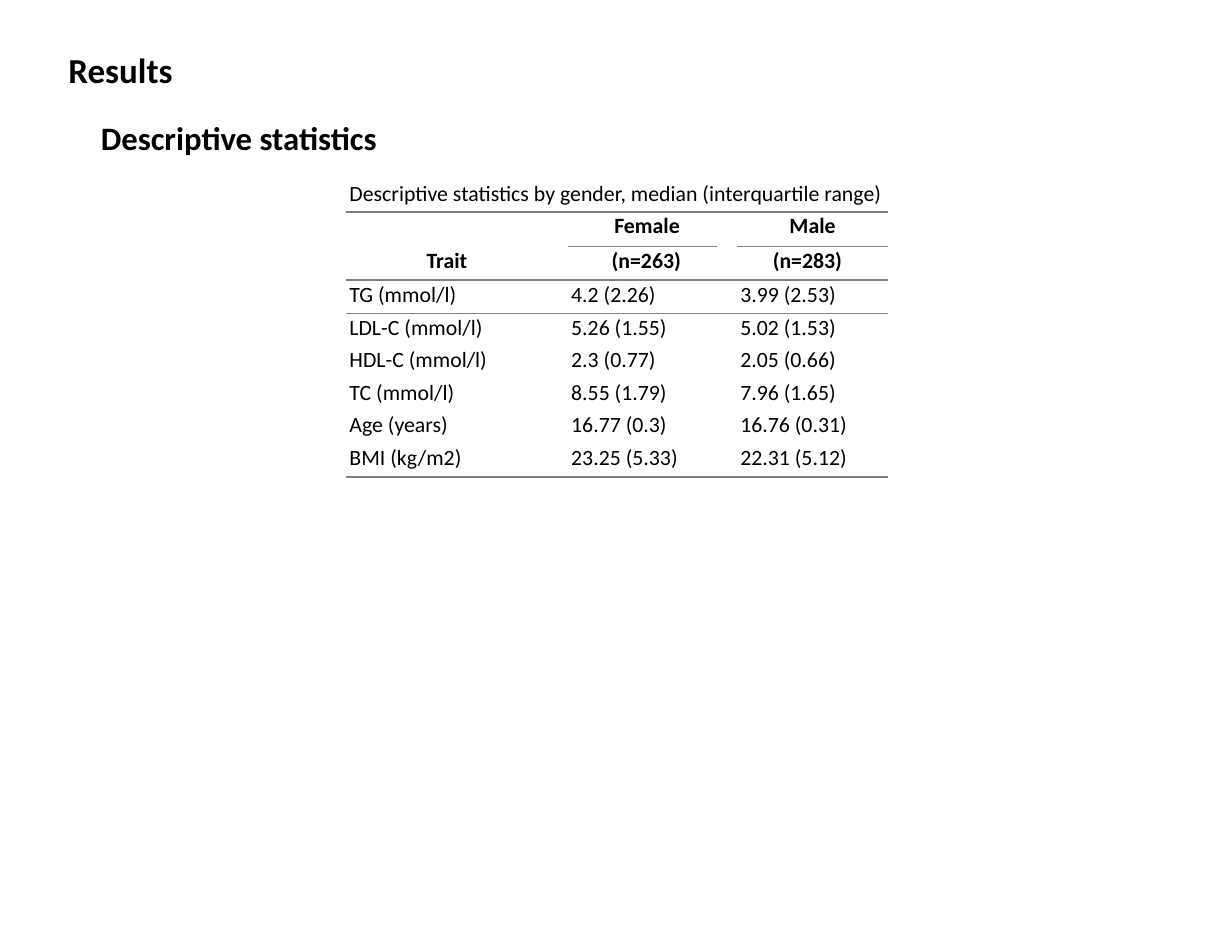
from lxml import etree
from pptx import Presentation
from pptx.dml.color import RGBColor
from pptx.enum.text import MSO_AUTO_SIZE, PP_ALIGN
from pptx.oxml.ns import qn
from pptx.util import Inches, Pt

LEFT, CENTER, RIGHT = PP_ALIGN.LEFT, PP_ALIGN.CENTER, PP_ALIGN.RIGHT
COLORS = {"text": "000000", "rule": "808080"}
FONT = "Calibri"
NO_GRID_STYLE = "{2D5ABB26-0587-4C30-8999-92F81FD0307C}"
THICK, THIN = 1.5, 0.75
BODY_SIZE = 14

COLUMNS = [1.98, 1.33, 0.18, 1.35]
ROWS = [0.31, 0.3, 0.3] + [0.29] * 4 + [0.3]
STATISTICS = [
    ("", "Female", "", "Male"),
    ("Trait", "(n=263)", "", "(n=283)"),
    ("TG (mmol/l)", "4.2 (2.26)", "", "3.99 (2.53)"),
    ("LDL-C (mmol/l)", "5.26 (1.55)", "", "5.02 (1.53)"),
    ("HDL-C (mmol/l)", "2.3 (0.77)", "", "2.05 (0.66)"),
    ("TC (mmol/l)", "8.55 (1.79)", "", "7.96 (1.65)"),
    ("Age (years)", "16.77 (0.3)", "", "16.76 (0.31)"),
    ("BMI (kg/m2)", "23.25 (5.33)", "", "22.31 (5.12)"),
]
# Header cell: alignment, left margin, right margin
HEADER_LAYOUT = {
    "Female": (RIGHT, 0, 0.33),
    "Male": (CENTER, 0, 0),
    "Trait": (CENTER, 0, 0.18),
    "(n=263)": (RIGHT, 0, 0.32),
    "(n=283)": (LEFT, 0.32, 0),
}
RULE_BELOW = {1: THIN, 2: THIN, len(ROWS) - 1: THICK}


def write(paragraph, text, size, bold):
    paragraph.text = text
    paragraph.font.name = FONT
    paragraph.font.size = Pt(size)
    paragraph.font.bold = bold
    paragraph.font.color.rgb = RGBColor.from_string(COLORS["text"])


def add_rule(cell, side, width):
    """Draw one border of a cell; side is lnT or lnB."""
    line = etree.Element(qn(f"a:{side}"), w=str(Pt(width)))
    fill = etree.SubElement(line, qn("a:solidFill"))
    etree.SubElement(fill, qn("a:srgbClr"), val=COLORS["rule"])
    cell._tc.get_or_add_tcPr().insert(0, line)


prs = Presentation()
prs.slide_width, prs.slide_height = Inches(11), Inches(8.5)
slide = prs.slides.add_slide(prs.slide_layouts[6])

# Headings and caption
frames = []
for left, top, width, height in [(0.6, 0.43, 9.81, 0.38), (0.89, 1.05, 7.01, 0.79)]:
    frame = slide.shapes.add_textbox(
        Inches(left), Inches(top), Inches(width), Inches(height)).text_frame
    frame.word_wrap = True
    frame.auto_size = MSO_AUTO_SIZE.SHAPE_TO_FIT_TEXT
    frame.margin_left = Inches(0.01)
    frame.margin_top = frame.margin_right = frame.margin_bottom = 0
    frames.append(frame)
heading, subheading = frames
write(heading.paragraphs[0], "Results", 22.5, True)
write(subheading.paragraphs[0], "Descriptive statistics", 21, True)
caption = subheading.add_paragraph()
caption._p.get_or_add_pPr().set("marL", str(Inches(2.22)))
caption.space_before = Pt(14.8)
write(caption, "Descriptive statistics by gender, median (interquartile range)",
      BODY_SIZE, False)

# Statistics table
table = slide.shapes.add_table(
    len(ROWS), len(COLUMNS), Inches(3.09), Inches(1.89),
    Inches(sum(COLUMNS)), Inches(sum(ROWS))).table
table.first_row = table.horz_banding = False
table._tbl.tblPr.find(qn("a:tableStyleId")).text = NO_GRID_STYLE
for column, width in zip(table.columns, COLUMNS):
    column.width = Inches(width)
for row, height in zip(table.rows, ROWS):
    row.height = Inches(height)

for r, values in enumerate(STATISTICS):
    for c, value in enumerate(values):
        cell = table.cell(r, c)
        align, left, right = HEADER_LAYOUT.get(value, (LEFT, 0.03, 0))
        cell.margin_left, cell.margin_right = Inches(left), Inches(right)
        cell.margin_top, cell.margin_bottom = Pt(1 if r < 3 else 0.7), 0
        cell.fill.background()
        paragraph = cell.text_frame.paragraphs[0]
        paragraph.alignment = align
        write(paragraph, value, BODY_SIZE, r < 2)
        if not value:  # keeps empty cells from stretching their row
            etree.SubElement(paragraph._p, qn("a:endParaRPr"), sz=str(BODY_SIZE * 100))
        below = THIN if r == 0 and value else RULE_BELOW.get(r)
        if below:
            add_rule(cell, "lnB", below)
        if r == 0:
            add_rule(cell, "lnT", THICK)

prs.save("out.pptx")
